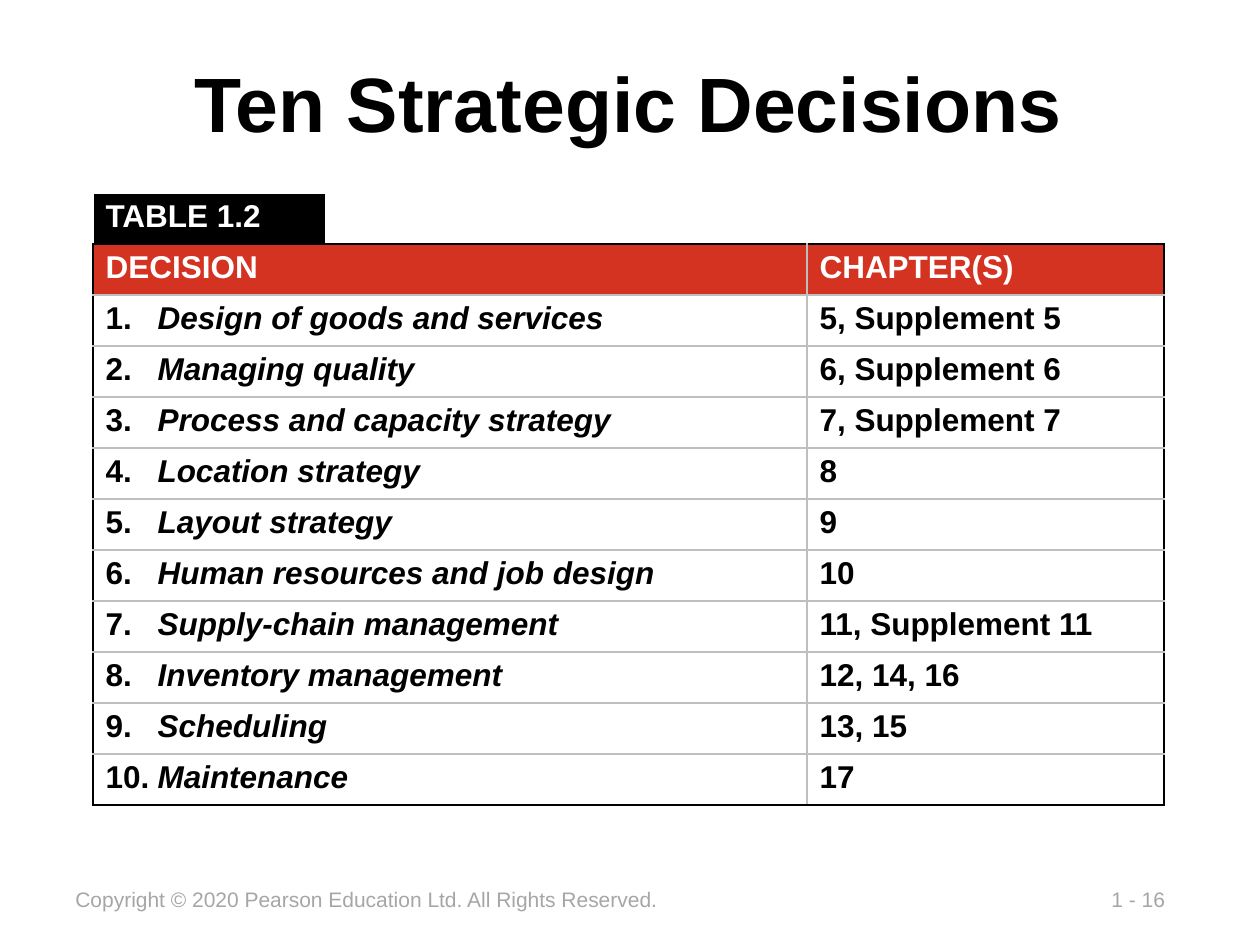
from lxml.etree import SubElement
from pptx import Presentation
from pptx.dml.color import RGBColor
from pptx.enum.text import MSO_ANCHOR, PP_ALIGN
from pptx.oxml.ns import qn
from pptx.util import Emu, Pt

BLACK = RGBColor(0x00, 0x00, 0x00)
WHITE = RGBColor(0xFF, 0xFF, 0xFF)
RED = RGBColor(0xD3, 0x33, 0x20)
RULE = RGBColor(0xBF, 0xBF, 0xBF)
GREY = RGBColor(0xA6, 0xA6, 0xA6)

DECISIONS = [
    ("Design of goods and services", "5, Supplement 5"),
    ("Managing quality", "6, Supplement 6"),
    ("Process and capacity strategy", "7, Supplement 7"),
    ("Location strategy", "8"),
    ("Layout strategy", "9"),
    ("Human resources and job design", "10"),
    ("Supply-chain management", "11, Supplement 11"),
    ("Inventory management", "12, 14, 16"),
    ("Scheduling", "13, 15"),
    ("Maintenance", "17"),
]
COL_WIDTHS = [233, 481, 357]
ROW_HEIGHT = 51
NUMBER_TAB = 52


def px(n):
    return Emu(round(n * 914400 / 126))


def style(p, size, color, bold=True):
    for r in p.runs:
        r.font.name = "Arial"
        r.font.size = Pt(size)
        r.font.bold = bold
        r.font.color.rgb = color


prs = Presentation()
prs.slide_width, prs.slide_height = px(1260), px(945)
slide = prs.slides.add_slide(prs.slide_layouts[5])

# Title
title = slide.shapes.title
title.left, title.top, title.width, title.height = px(93), px(49), px(1071), px(106)
tf = title.text_frame
tf.text = "Ten Strategic Decisions"
tf.vertical_anchor = MSO_ANCHOR.MIDDLE
tf.paragraphs[0].alignment = PP_ALIGN.CENTER
style(tf.paragraphs[0], 44, BLACK)

# Footer
for text, left, width in [
    ("Copyright © 2020 Pearson Education Ltd. All Rights Reserved.", 63, 619),
    ("1 - 16", 1099, 82),
]:
    box = slide.shapes.add_textbox(px(left), px(880), px(width), px(38))
    tf = box.text_frame
    tf.word_wrap = False
    tf.text = text
    style(tf.paragraphs[0], 12, GREY, bold=False)

# Table grid: a label row, a header row and one row per decision
last = len(DECISIONS) + 1
table = slide.shapes.add_table(
    last + 1, 3, px(93), px(193), px(sum(COL_WIDTHS)), px(ROW_HEIGHT * (last + 1))
).table
table.first_row = table.horz_banding = False
for col, width in zip(table.columns, COL_WIDTHS):
    col.width = px(width)
for row in table.rows:
    row.height = px(ROW_HEIGHT)

# Table text
table.cell(0, 0).text = "TABLE 1.2"
table.cell(1, 0).text = "DECISION"
table.cell(1, 2).text = "CHAPTER(S)"
for i, (decision, chapters) in enumerate(DECISIONS, 1):
    p = table.cell(i + 1, 0).text_frame.paragraphs[0]
    tabs = SubElement(p._p.get_or_add_pPr(), qn("a:tabLst"))
    SubElement(tabs, qn("a:tab"), pos=str(px(NUMBER_TAB)), algn="l")
    p.add_run().text = f"{i}.\t"
    r = p.add_run()
    r.text = decision
    r.font.italic = True
    table.cell(i + 1, 2).text = chapters

# Cell borders, fills and fonts: black frame, grey inner rules
for y in range(last + 1):
    if y > 0:
        table.cell(y, 0).merge(table.cell(y, 1))
    for x in range(3):
        cell = table.cell(y, x)
        borders = {}
        if y > 0:
            if x != 1:
                borders["L"] = BLACK if x == 0 else RULE
            if x != 0:
                borders["R"] = BLACK if x == 2 else RULE
            borders["T"] = BLACK if y == 1 else RULE
        borders["B"] = BLACK if y in (0, last) else RULE
        tcPr = cell._tc.get_or_add_tcPr()
        for side, color in borders.items():
            ln = SubElement(tcPr, qn(f"a:ln{side}"), w=str(Pt(1)))
            SubElement(SubElement(ln, qn("a:solidFill")), qn("a:srgbClr"), val=str(color))

        if y == 1 or (y == 0 and x == 0):
            cell.fill.solid()
            cell.fill.fore_color.rgb = RED if y == 1 else BLACK
        else:
            cell.fill.background()
        style(cell.text_frame.paragraphs[0], 18, WHITE if y < 2 else BLACK)

prs.save("out.pptx")
